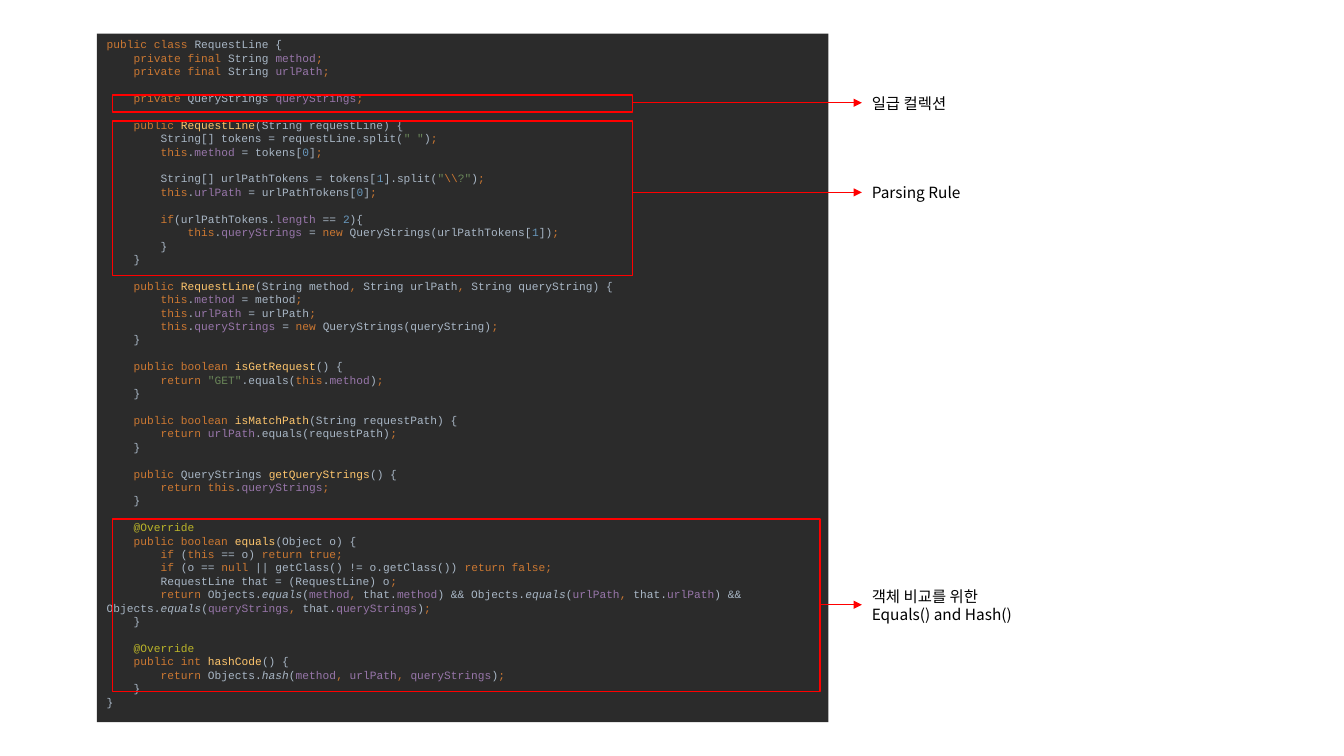
from lxml import etree
from pptx import Presentation
from pptx import util as u
from pptx.dml.color import RGBColor
from pptx.enum import shapes, text
from pptx.oxml.ns import qn

CODE_BLOCKS = [
    r"""
§kpublic class §tRequestLine {
    §kprivate final §tString §fmethod§k;
    §kprivate final §tString §furlPath§k;
""", r"""
    §kprivate §tQueryStrings §fqueryStrings§k;
""", r"""
    §kpublic §mRequestLine§t(String requestLine) {
        String[] tokens = requestLine.split(§s" "§t)§k;
        §kthis§t.§fmethod §t= tokens[§n0§t]§k;
""", r"""
        String[] urlPathTokens = tokens[§n1§t].split(§s"§k\\§s?"§t)§k;
        §kthis§t.§furlPath §t= urlPathTokens[§n0§t]§k;
""", r"""
        §kif§t(urlPathTokens.§flength §t== §n2§t){
            §kthis§t.§fqueryStrings §t= §knew §tQueryStrings(urlPathTokens[§n1§t])§k;
        }
    }
""", r"""
    §kpublic §mRequestLine§t(String method§k, §tString urlPath§k, §tString queryString) {
        §kthis§t.§fmethod §t= method§k;
        §kthis§t.§furlPath §t= urlPath§k;
        §kthis§t.§fqueryStrings §t= §knew §tQueryStrings(queryString)§k;
    }
""", r"""
    §kpublic boolean §misGetRequest§t() {
        §kreturn §s"GET"§t.equals(§kthis§t.§fmethod§t)§k;
    }
""", r"""
    §kpublic boolean §misMatchPath§t(String requestPath) {
        §kreturn §furlPath§t.equals(requestPath)§k;
    }
""", r"""
    §kpublic §tQueryStrings §mgetQueryStrings§t() {
        §kreturn this§t.§fqueryStrings§k;
    }
""", r"""
    §a@Override
    §kpublic boolean §mequals§t(Object o) {
        §kif §t(§kthis §t== o) §kreturn true;
        §kif §t(o == §knull §t|| getClass() != o.getClass()) §kreturn false;
        RequestLine that = (RequestLine) o§k;
        §kreturn §tObjects.§iequals§t(§fmethod§k, §tthat.§fmethod§t) && Objects.§iequals§t(§furlPath§k, §tthat.§furlPath§t) && Objects.§iequals§t(§fqueryStrings§k, §tthat.§fqueryStrings§t)§k;
    }
""", r"""
    §a@Override
    §kpublic int §mhashCode§t() {
        §kreturn §tObjects.§ihash§t(§fmethod§k, §furlPath§k, §fqueryStrings§t)§k;
    }
}
"""]
COLORS = {"k": "CC7832", "t": "A9B7C6", "i": "A9B7C6", "f": "9876AA",
          "m": "FFC66D", "s": "6A8759", "n": "6897BB", "a": "BBB529"}
LINE_HEIGHT = u.Pt(9.58)
CAPTION_FONT = "Noto Sans CJK KR"


def paint(color_format, value):
    color_format.rgb = RGBColor.from_string(value)


def add_rect(left, top, width, height):
    sp = s.shapes.add_shape(shapes.MSO_SHAPE.RECTANGLE,
                            u.Cm(left), u.Cm(top), u.Cm(width), u.Cm(height))
    sp.shadow.inherit = False
    return sp


prs = Presentation()
prs.slide_width, prs.slide_height = u.Cm(33.87), u.Cm(19.05)
s = prs.slides.add_slide(prs.slide_layouts[6])

panel = add_rect(2.44, 0.85, 18.44, 17.35)
panel.fill.solid()
paint(panel.fill.fore_color, "2B2B2B")
panel.line.fill.background()
tf = panel.text_frame
tf.word_wrap = True
tf.vertical_anchor = text.MSO_ANCHOR.TOP
tf.margin_top = u.Cm(0.1)

p = tf.paragraphs[0]
for block_number, block in enumerate(CODE_BLOCKS):
    for line_number, line in enumerate(block.strip("\n").split("\n")):
        if block_number or line_number:
            p = tf.add_paragraph()
        p.alignment = text.PP_ALIGN.LEFT
        p.line_spacing = LINE_HEIGHT
        p.space_before = LINE_HEIGHT if block_number and not line_number else 0
        p.font.name = "Courier New"
        p.font.size = u.Pt(8)
        statement = line.lstrip()
        level = (len(line) - len(statement)) // 4
        p._p.get_or_add_pPr().set("indent", str(u.Cm(0.68 * level)))
        for part in ("t" + statement).split("§"):
            if part[1:]:
                r = p.add_run()
                r.text = part[1:]
                paint(r.font.color, COLORS[part[0]])
                if part[0] == "i":
                    r.font.italic = True

notes = [
    (2.39, 13.1, 0.43, 2.59, 2.24, ["일급 컬렉션"]),
    (3.05, 13.1, 3.89, 4.85, 4.5, ["Parsing Rule"]),
    (13.08, 17.83, 4.34, 15.24, 14.66, ["객체 비교를 위한", "Equals() and Hash()"]),
]
for top, width, height, arrow_y, caption_top, lines in notes:
    frame = add_rect(2.84, top, width, height)
    frame.fill.background()
    paint(frame.line.color, "FF0000")
    frame.line.width = u.Pt(1)

    arrow = s.shapes.add_connector(shapes.MSO_CONNECTOR.STRAIGHT, u.Cm(2.84 + width),
                                   u.Cm(arrow_y), u.Cm(21.72), u.Cm(arrow_y))
    paint(arrow.line.color, "FF0000")
    arrow.line.width = u.Pt(0.5)
    etree.SubElement(arrow.line._get_or_add_ln(), qn("a:tailEnd"), type="triangle")
    etree.SubElement(arrow._element.spPr, qn("a:effectLst"))

    caption = s.shapes.add_textbox(u.Cm(21.72), u.Cm(caption_top),
                                   u.Cm(6.38), u.Cm(0.28 + 0.46 * len(lines)))
    tf = caption.text_frame
    tf.word_wrap = True
    tf.text = "\n".join(lines)
    for p in tf.paragraphs:
        p.font.name = CAPTION_FONT
        p.font.size = u.Pt(11)
        paint(p.font.color, "000000")
        for r in p.runs:
            etree.SubElement(r._r.get_or_add_rPr(), qn("a:ea"), typeface=CAPTION_FONT)

prs.save("out.pptx")
